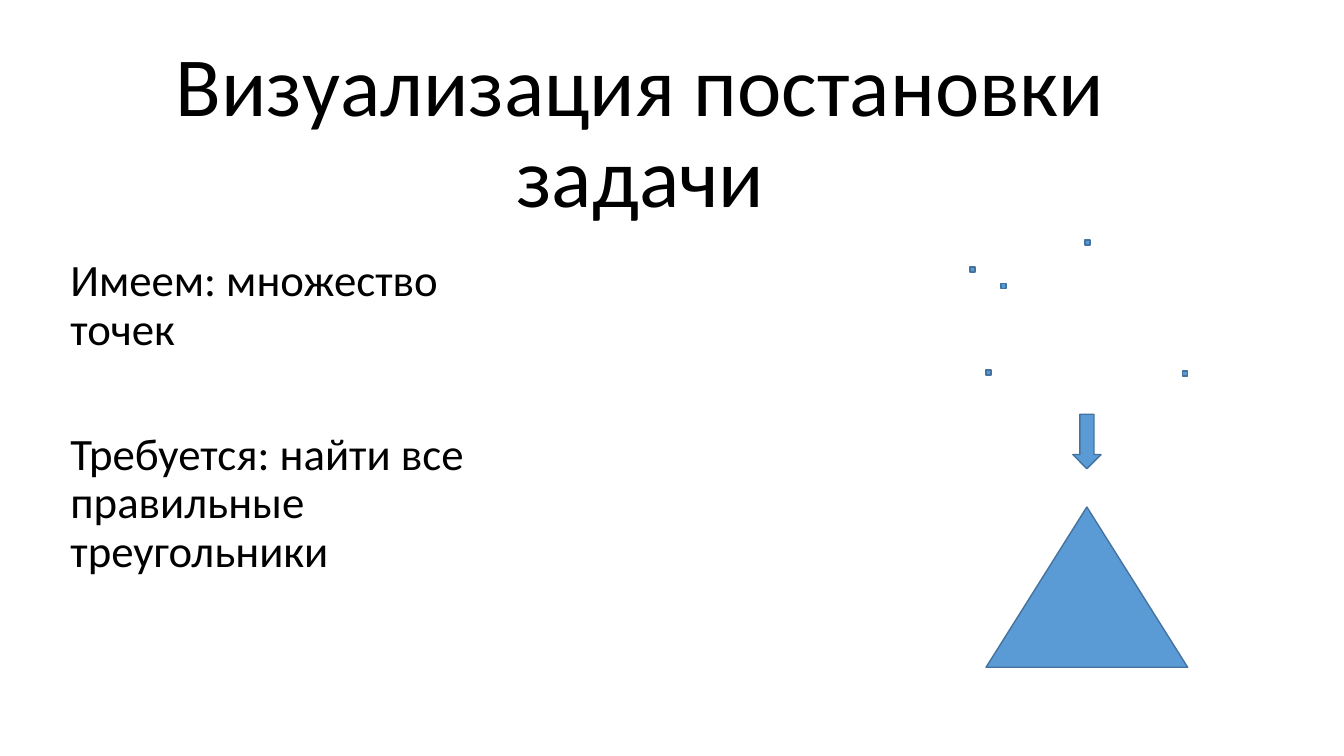
from pptx import Presentation
from pptx import util as u
from pptx.dml.color import RGBColor
from pptx.enum import shapes, text

BLACK = RGBColor(0x00, 0x00, 0x00)
BLUE = RGBColor(0x5B, 0x9B, 0xD5)
EDGE = RGBColor(0x43, 0x73, 0x9E)
DOT = 0.05

deck = Presentation()
deck.slide_width, deck.slide_height = u.Inches(13.33), u.Inches(7.5)
slide = deck.slides.add_slide(deck.slide_layouts[5])


def write(frame, lines, size, align, gaps):
    """Fill a text frame with one paragraph per line, with a gap before each."""
    frame.word_wrap = True
    frame.auto_size = text.MSO_AUTO_SIZE.NONE
    for i, (line, gap) in enumerate(zip(lines, gaps)):
        par = frame.paragraphs[0] if i == 0 else frame.add_paragraph()
        form = {"alignment": align, "line_spacing": 0.9, "space_before": u.Pt(gap)}
        for key, val in form.items():
            setattr(par, key, val)
        run = par.add_run()
        run.text = line
        for key, val in {"name": "Calibri", "size": u.Pt(size)}.items():
            setattr(run.font, key, val)
        run.font.color.rgb = BLACK


def draw(kind, left, top, width, height):
    """Add a blue preset shape with a thin dark edge."""
    item = slide.shapes.add_shape(kind, *map(u.Inches, (left, top, width, height)))
    item.shadow.inherit = False
    item.fill.solid()
    item.fill.fore_color.rgb = BLUE
    item.line.color.rgb = EDGE
    item.line.width = u.Pt(1)


title = slide.shapes.title
place = {"left": 0.6, "top": 0.31, "width": 11.5, "height": 1.98}
for key, val in place.items():
    setattr(title, key, u.Inches(val))
title.text_frame.vertical_anchor = text.MSO_ANCHOR.BOTTOM
write(title.text_frame, ["Визуализация постановки задачи"], 60,
      text.PP_ALIGN.CENTER, [0])

body = slide.shapes.add_textbox(*map(u.Inches, (0.6, 2.51, 4.98, 4.35)))
body.text_frame.margin_right = u.Inches(0.2)
goals = ["Имеем: множество точек", "Требуется: найти все правильные треугольники"]
write(body.text_frame, goals, 32, text.PP_ALIGN.LEFT, [10, 55])

kinds = shapes.MSO_SHAPE
draw(kinds.ISOSCELES_TRIANGLE, 9.78, 5.03, 2, 1.59)
draw(kinds.DOWN_ARROW, 10.64, 4.11, 0.28, 0.54)
dots = [(9.78, 3.67), (10.76, 2.38), (11.73, 3.68), (9.93, 2.81), (9.62, 2.65)]
for left, top in dots:
    draw(kinds.RECTANGLE, left, top, DOT, DOT)

deck.save("out.pptx")
